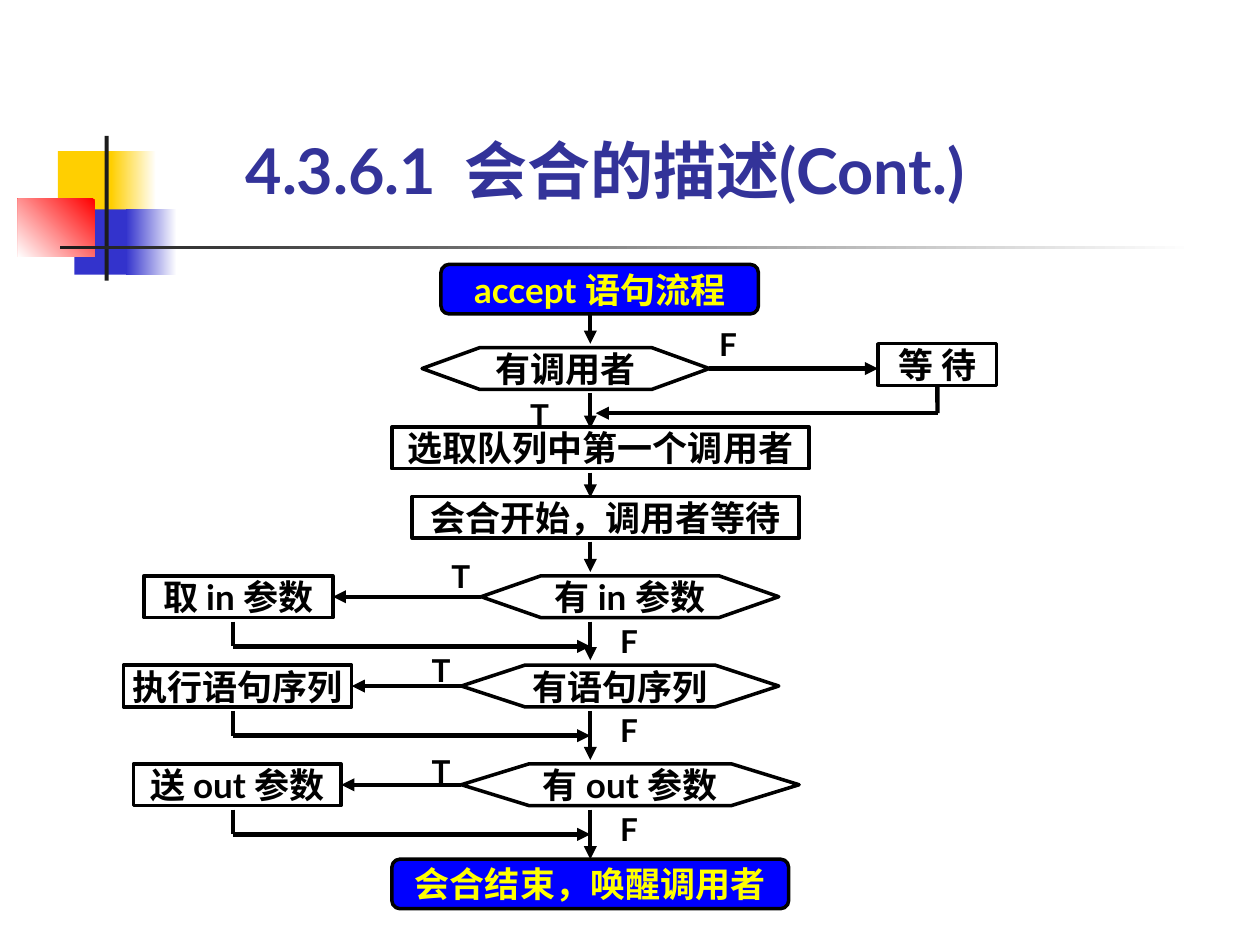
"""Builds the accept statement flowchart slide."""
import dataclasses

import lxml.etree
import pptx
import pptx.dml.color
import pptx.enum.shapes
import pptx.enum.text
import pptx.oxml.ns
import pptx.util

Cm = pptx.util.Cm
Pt = pptx.util.Pt
MSO = pptx.enum.shapes.MSO_SHAPE
ALIGN = pptx.enum.text.PP_ALIGN
ANCHOR = pptx.enum.text.MSO_ANCHOR
TOP, LEFT, BOTTOM, RIGHT = range(4)


@dataclasses.dataclass(frozen=True)
class Theme:
    black: str = "000000"
    white: str = "FFFFFF"
    title: str = "333399"
    terminal: str = "0000FF"
    terminal_text: str = "FFFF00"
    yellow: str = "FFCF01"
    blue: str = "3333CC"
    red: str = "FF0000"
    bar: str = "1C1C1C"
    latin: str = "Lato"
    cjk: str = "Noto Sans CJK SC"
    title_size: int = 36
    box_size: int = 20
    label_size: int = 18
    box_line: float = 2
    arrow_line: float = 2.5


def rgb(value):
    return pptx.dml.color.RGBColor.from_string(value)


class SlideBuilder:
    def __init__(self, slide, theme):
        self.slide = slide
        self.theme = theme

    def add_run(self, p, text, size, color, font=None, spacing=None):
        r = p.add_run()
        r.text = text
        r.font.size = Pt(size)
        r.font.bold = True
        r.font.name = font or self.theme.latin
        r.font.color.rgb = rgb(color)
        rpr = r.font._element
        ea = lxml.etree.SubElement(rpr, pptx.oxml.ns.qn("a:ea"))
        ea.set("typeface", self.theme.cjk)
        if spacing:
            rpr.set("spc", str(spacing * 100))

    def frame(self, sp, anchor, align, inset=(0, 0), wrap=True):
        tf = sp.text_frame
        tf.word_wrap = wrap
        tf.vertical_anchor = anchor
        tf.margin_left = tf.margin_right = Cm(inset[0])
        tf.margin_top = tf.margin_bottom = Cm(inset[1])
        p = tf.paragraphs[0]
        p.alignment = align
        return p

    def decoration(self, x, y, w, h, start, end=None, angle=180):
        sp = self.slide.shapes.add_shape(MSO.RECTANGLE, Cm(x), Cm(y), Cm(w), Cm(h))
        sp.shadow.inherit = False
        sp.line.fill.background()
        if end is None:
            sp.fill.solid()
            sp.fill.fore_color.rgb = rgb(start)
            return
        sp.fill.gradient()
        sp.fill.gradient_angle = angle
        for stop, color in zip(sp.fill.gradient_stops, (start, end)):
            stop.color.rgb = rgb(color)

    def box(self, kind, x, y, w, text, h=0.84, fill=None, font=None):
        t = self.theme
        sp = self.slide.shapes.add_shape(kind, Cm(x), Cm(y), Cm(w), Cm(h))
        sp.shadow.inherit = False
        sp.line.color.rgb = rgb(t.black)
        sp.line.width = Pt(t.box_line)
        if fill:
            sp.fill.solid()
            sp.fill.fore_color.rgb = rgb(fill)
        else:
            sp.fill.background()
        p = self.frame(sp, ANCHOR.MIDDLE, ALIGN.CENTER, wrap=False)
        self.add_run(p, text, t.box_size, t.terminal_text if fill else t.black, font)
        return sp

    def terminal(self, x, y, w, text):
        return self.box(MSO.FLOWCHART_ALTERNATE_PROCESS, x, y, w, text, 1, self.theme.terminal)

    def decision(self, x, y, w, text):
        return self.box(MSO.FLOWCHART_PREPARATION, x, y, w, text)

    def process(self, x, y, w, text, font=None):
        return self.box(MSO.RECTANGLE, x, y, w, text, font=font)

    def label(self, x, y, text):
        sp = self.slide.shapes.add_textbox(Cm(x), Cm(y), Cm(0.6), Cm(0.76))
        p = self.frame(sp, ANCHOR.TOP, ALIGN.LEFT)
        self.add_run(p, text, self.theme.label_size, self.theme.black)

    def title(self, x, y, w, h, runs):
        sp = self.slide.shapes.add_textbox(Cm(x), Cm(y), Cm(w), Cm(h))
        p = self.frame(sp, ANCHOR.BOTTOM, ALIGN.LEFT, (0.25, 0.13))
        for text, spacing in runs:
            self.add_run(p, text, self.theme.title_size, self.theme.title, spacing=spacing)

    def line(self, x1, y1, x2, y2, arrow=True, begin=None, end=None):
        cx = self.slide.shapes.add_connector(
            pptx.enum.shapes.MSO_CONNECTOR.STRAIGHT, Cm(x1), Cm(y1), Cm(x2), Cm(y2))
        if begin:
            cx.begin_connect(*begin)
        if end:
            cx.end_connect(*end)
        cx.line.color.rgb = rgb(self.theme.black)
        cx.line.width = Pt(self.theme.arrow_line)
        qn = pptx.oxml.ns.qn
        if arrow:
            ln = cx.line._get_or_add_ln()
            lxml.etree.SubElement(ln, qn("a:tailEnd")).set("type", "triangle")
        lxml.etree.SubElement(cx._element.spPr, qn("a:effectLst"))


def draw_decoration(s):
    t = s.theme
    s.decoration(1.17, 3.05, 1.22, 1.32, t.yellow)
    s.decoration(2.24, 3.05, 0.91, 1.32, t.white, t.yellow)
    s.decoration(1.5, 4.22, 1.17, 1.32, t.blue)
    s.decoration(2.54, 4.22, 1.02, 1.32, t.white, t.blue)
    s.decoration(0.36, 4.01, 1.55, 1.17, t.red, t.white, 225)
    s.decoration(2.11, 2.74, 0.08, 2.92, t.bar)
    s.decoration(1.22, 4.95, 22.86, 0.08, t.white, t.bar)


def draw_flow(s):
    axis, return_x, wait_x = 11.9, 4.7, 18.9
    s.terminal(8.89, 5.33, 6.4, "accept 语句流程")
    caller = s.decision(8.51, 7.01, 5.79, "有调用者")
    wait = s.process(17.7, 6.93, 2.39, "等 待", s.theme.cjk)
    s.process(7.9, 8.61, 8.41, "选取队列中第一个调用者")
    s.process(8.31, 10.01, 7.8, "会合开始，调用者等待")
    finish = s.terminal(7.9, 17.32, 8, "会合结束，唤醒调用者")

    for y1, y2 in ((6.32, 6.93), (7.92, 8.64), (9.53, 10.03), (10.92, 11.53)):
        s.line(axis, y1, axis, y2)
    s.line(14.3, 7.43, 17.7, 7.43, begin=(caller, RIGHT))
    s.line(wait_x, 7.77, wait_x, 8.33, arrow=False, begin=(wait, BOTTOM))
    s.line(wait_x, 8.33, 12.01, 8.33)
    s.label(14.5, 6.55, "F")
    s.label(10.69, 7.98, "T")

    stages = (
        (11.61, 9.7, 6, "有 in 参数", 2.9, 3.81, "取 in 参数", 11.23, 13.31, None),
        (13.41, 9.3, 6.4, "有语句序列", 2.49, 4.6, "执行语句序列", 13.13, 15.32, None),
        (15.4, 9.3, 6.81, "有 out 参数", 2.69, 4.19, "送 out 参数", 15.16, 17.32, (finish, TOP)),
    )
    for y, test_x, test_w, test, act_x, act_w, act, true_y, next_y, join in stages:
        question = s.decision(test_x, y, test_w, test)
        action = s.process(act_x, y, act_w, act)
        mid, below, merge = y + 0.42, y + 0.92, y + 1.42
        s.line(test_x, mid, act_x + act_w, mid, begin=(question, LEFT), end=(action, RIGHT))
        s.line(axis, below, axis, next_y, end=join)
        s.line(return_x, below, return_x, merge, arrow=False)
        s.line(return_x, merge, axis, merge)
        s.label(test_x - 0.6, true_y, "T")
        s.label(12.5, below, "F")


def main():
    prs = pptx.Presentation()
    prs.slide_width, prs.slide_height = Cm(25.4), Cm(19.05)
    s = SlideBuilder(prs.slides.add_slide(prs.slide_layouts[6]), Theme())
    draw_decoration(s)
    draw_flow(s)
    s.title(4.7, 2.51, 16.79, 1.8, (("4.3.6.1", None), (" ", 7), ("会合的描述", None), ("(Cont.)", None)))
    prs.save("out.pptx")


if __name__ == "__main__":
    main()
